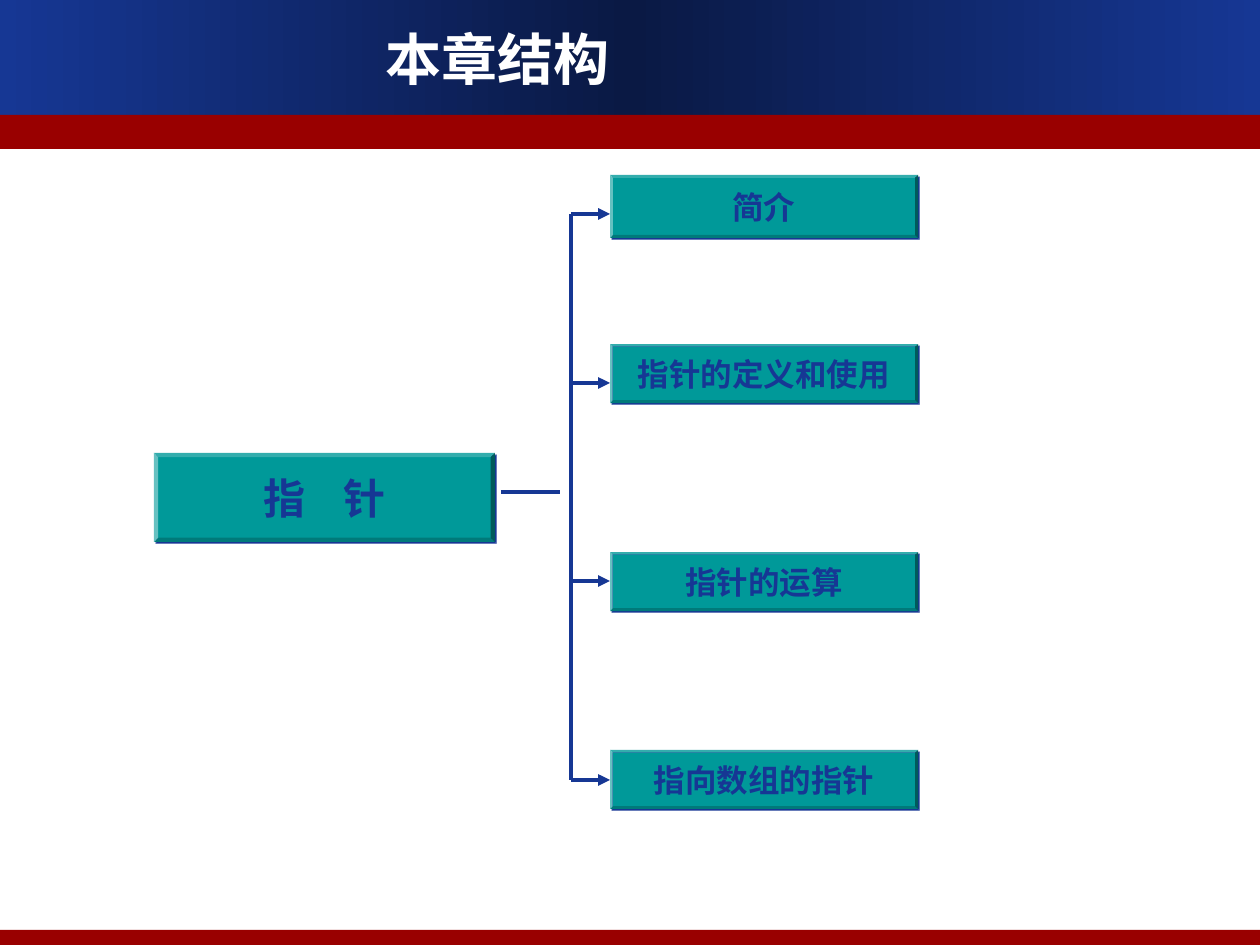
from dataclasses import dataclass

from lxml.etree import SubElement
from pptx import Presentation
from pptx.dml.color import RGBColor
from pptx.enum.shapes import MSO_CONNECTOR as Connector, MSO_SHAPE as Preset
from pptx.enum.text import MSO_ANCHOR as Anchor, PP_ALIGN as Align
from pptx.oxml import parse_xml
from pptx.oxml.ns import nsdecls, qn
from pptx.util import Emu, Pt

EMU_PER_PX = 914400 / 126


@dataclass(frozen=True)
class Theme:
    navy: str = "163794"
    midnight: str = "0A1944"
    red: str = "990000"
    teal: str = "009999"
    white: str = "FFFFFF"
    title_font: str = "DejaVu Sans"
    body_font: str = "Noto Sans CJK SC"
    title_size: int = 32
    root_size: int = 24
    topic_size: int = 18
    line_width: float = 2.25


THEME = Theme()


def px(*lengths):
    return [Emu(round(length * EMU_PER_PX)) for length in lengths]


def set_all(target, values):
    for name, value in values.items():
        setattr(target, name, value)


def write_text(frame, text, font, size, color, space_before=0):
    set_all(frame, {"text": text, "vertical_anchor": Anchor.MIDDLE})
    para = frame.paragraphs[0]
    set_all(para, {"alignment": Align.CENTER, "space_before": Pt(space_before)})
    span = para.runs[0]
    set_all(span.font, {"name": font, "size": Pt(size), "bold": True})
    span.font.color.rgb = RGBColor.from_string(color)
    east_asian = SubElement(span.font._element, qn("a:ea"))
    east_asian.set("typeface", THEME.body_font)


def add_block(page, preset, bounds, color):
    block = page.shapes.add_shape(preset, *px(*bounds))
    block.shadow.inherit = False
    block.fill.solid()
    block.fill.fore_color.rgb = RGBColor.from_string(color)
    block.line.fill.background()
    return block


def add_gradient_band(page, bounds):
    band = add_block(page, Preset.RECTANGLE, bounds, THEME.navy)
    stops = "".join(
        f'<a:gs pos="{position * 1000}"><a:srgbClr val="{color}"/></a:gs>'
        for position, color in ((0, THEME.navy), (50, THEME.midnight), (100, THEME.navy))
    )
    gradient = parse_xml(
        f'<a:gradFill {nsdecls("a")} rotWithShape="1"><a:gsLst>{stops}</a:gsLst>'
        '<a:lin ang="10800000" scaled="1"/></a:gradFill>'
    )
    properties = band._element.spPr
    properties.replace(properties.find(qn("a:solidFill")), gradient)


def add_title(page, bounds, text):
    title = page.shapes.title
    set_all(title, dict(zip(("left", "top", "width", "height"), px(*bounds))))
    write_text(title.text_frame, text, THEME.title_font, THEME.title_size, THEME.white)
    page.shapes._spTree.append(title._element)


def add_bevel_box(page, bounds, text, size):
    box = add_block(page, Preset.BEVEL, bounds, THEME.teal)
    box.adjustments[0] = 0.047
    effects = box._element.spPr.find(qn("a:effectLst"))
    effects.append(parse_xml(
        f'<a:outerShdw {nsdecls("a")} blurRad="0" dist="{Pt(1.4)}" dir="2700000" '
        f'algn="ctr" rotWithShape="0"><a:srgbClr val="{THEME.navy}"/></a:outerShdw>'
    ))
    box.text_frame.word_wrap = False
    write_text(box.text_frame, text, THEME.body_font, size, THEME.navy, size * 0.625)


def add_line(page, start, end, arrow=False):
    line = page.shapes.add_connector(Connector.STRAIGHT, *px(*start, *end))
    line.line.width = Pt(THEME.line_width)
    line.line.color.rgb = RGBColor.from_string(THEME.navy)
    if arrow:
        SubElement(line.line._get_or_add_ln(), qn("a:tailEnd")).set("type", "triangle")
    SubElement(line._element.spPr, qn("a:effectLst"))


def main():
    deck = Presentation()
    set_all(deck, dict(zip(("slide_width", "slide_height"), px(1260, 945))))
    page = deck.slides.add_slide(deck.slide_layouts.get_by_name("Title Only"))

    add_gradient_band(page, (0, 0, 1260, 115))
    add_block(page, Preset.RECTANGLE, (0, 115, 1260, 34), THEME.red)
    add_block(page, Preset.RECTANGLE, (0, 930, 1260, 15), THEME.red)
    add_title(page, (25, 0, 945, 116), "本章结构")

    add_bevel_box(page, (154, 453, 341, 89), "指    针", THEME.root_size)
    add_line(page, (501, 492), (560, 492))

    trunk, topic_left, topic_width = 571, 610, 308
    topics = (
        ("简介", 175, 63, 214),
        ("指针的定义和使用", 344, 59, 383),
        ("指针的运算", 552, 59, 581),
        ("指向数组的指针", 750, 59, 780),
    )
    add_line(page, (trunk, topics[0][-1]), (trunk, topics[-1][-1]))
    for text, top, height, arrow_y in topics:
        add_bevel_box(page, (topic_left, top, topic_width, height), text, THEME.topic_size)
        add_line(page, (trunk, arrow_y), (topic_left, arrow_y), arrow=True)

    deck.save("out.pptx")


if __name__ == "__main__":
    main()
